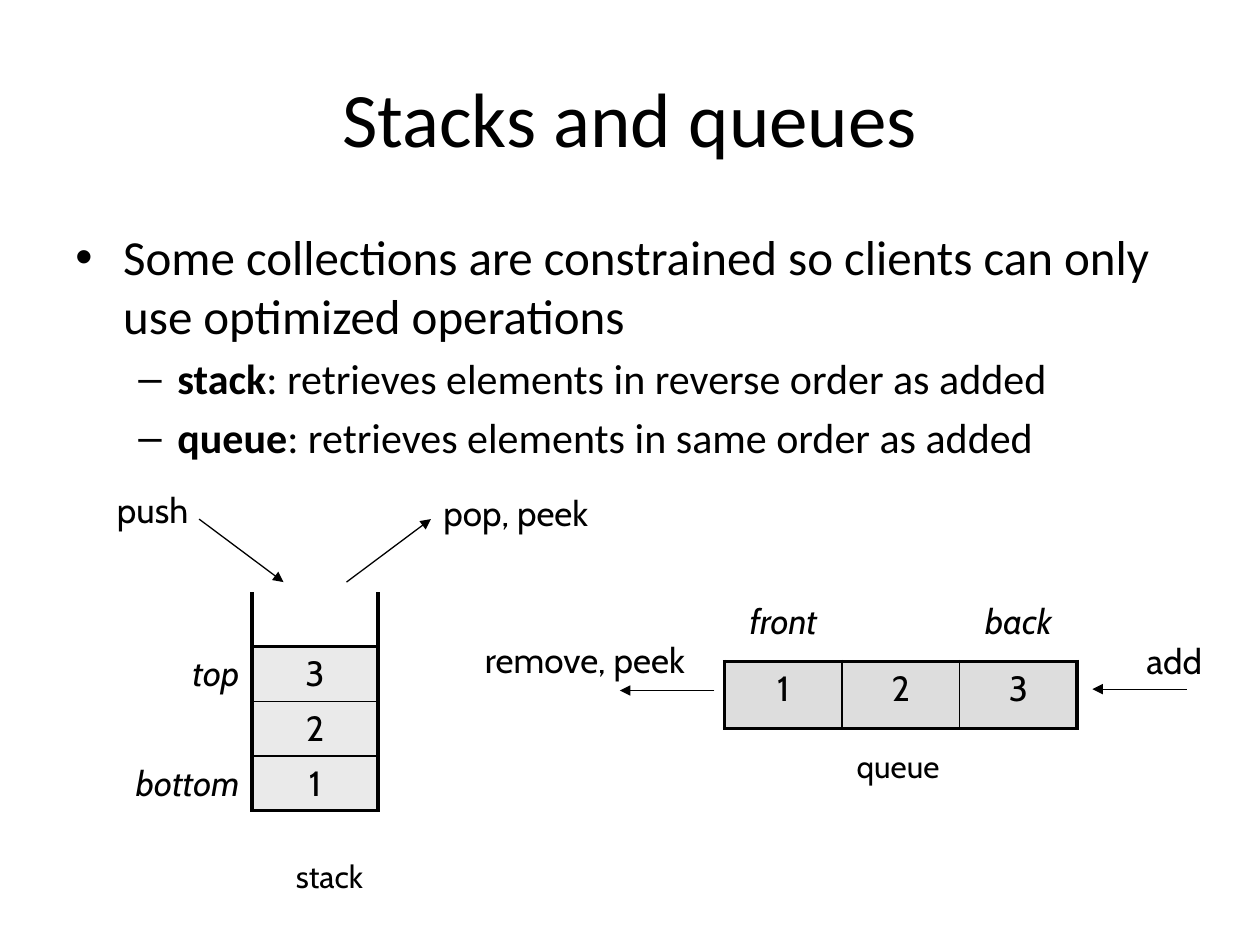
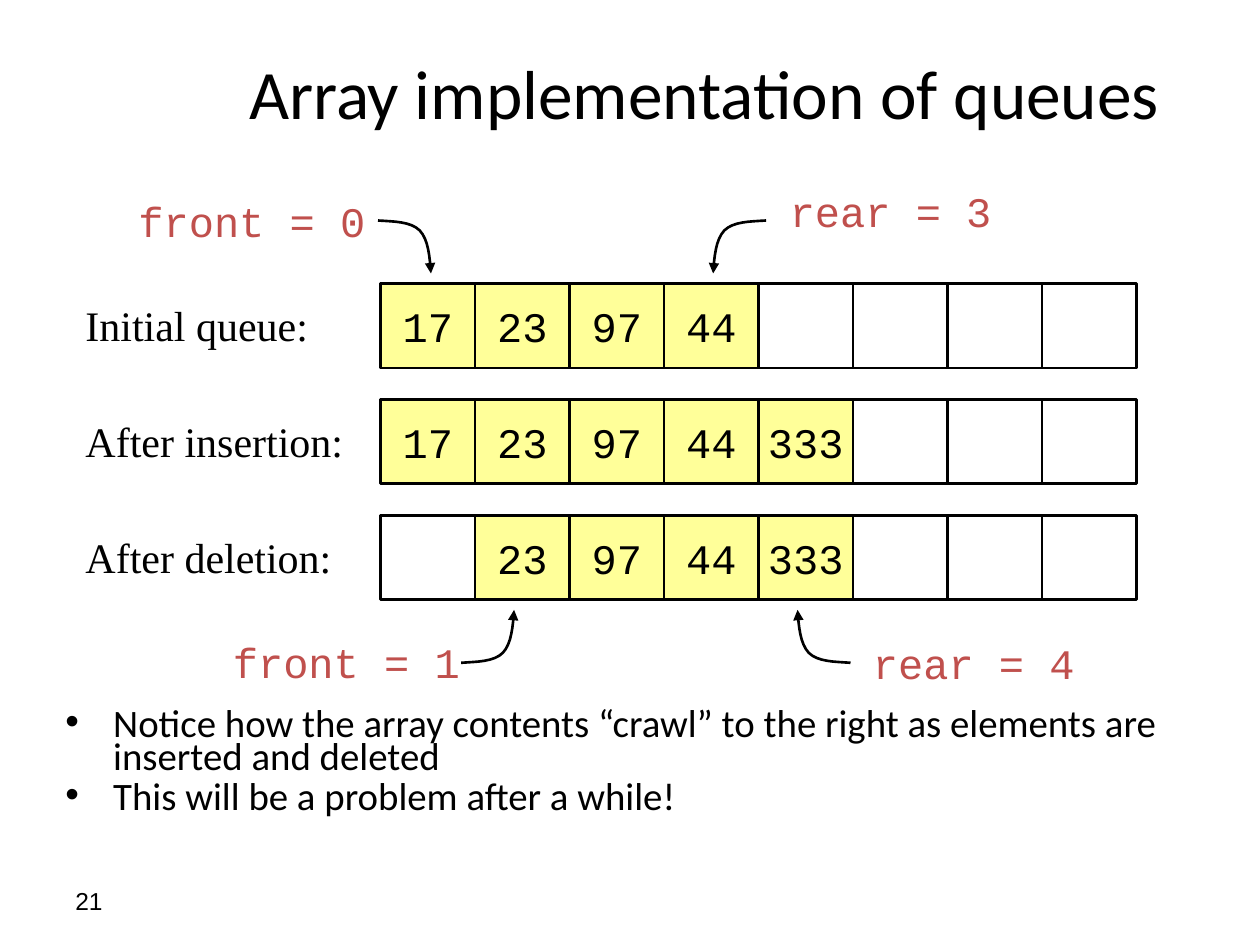
from lxml import etree
from pptx import Presentation
from pptx.dml.color import RGBColor
from pptx.enum.shapes import MSO_CONNECTOR, MSO_SHAPE
from pptx.enum.text import MSO_ANCHOR, MSO_AUTO_SIZE, PP_ALIGN
from pptx.oxml.ns import qn
from pptx.util import Inches, Pt

LEFT, CENTER, RIGHT = PP_ALIGN.LEFT, PP_ALIGN.CENTER, PP_ALIGN.RIGHT
TOP, MIDDLE = MSO_ANCHOR.TOP, MSO_ANCHOR.MIDDLE
GROW = MSO_AUTO_SIZE.SHAPE_TO_FIT_TEXT
STRAIGHT, RECT = MSO_CONNECTOR.STRAIGHT, MSO_SHAPE.RECTANGLE

COLORS = {"ink": "000000", "marker": "C0504D", "stack": "EAEAEA",
          "queue": "DDDDDD", "used": "FFFF99"}
BODY, DIAGRAM, CODE, SERIF, NUMBER = (
    "Calibri", "Cabin", "Courier New", "Times New Roman", "Arial")
THICK, THIN = 2.25, 1

OVERVIEW_TITLE = "Stacks and queues"
OVERVIEW_POINTS = [
    (0, "", "Some collections are constrained so clients can only use optimized operations"),
    (1, "stack", ": retrieves elements in reverse order as added"),
    (1, "queue", ": retrieves elements in same order as added"),
]
LEVELS = [
    {"bullet": "•", "indent": (0.38, -0.38), "size": 28},
    {"bullet": "–", "indent": (0.81, -0.31), "size": 24},
]
DIAGRAM_LABELS = [
    ("stack", 18, (2.25, 6.75, 0.77, 0.4)),
    ("queue", 18, (6.7, 5.88, 0.88, 0.4)),
    ("pop, peek", 20, (3.42, 3.85, 1.41, 0.43)),
    ("push", 20, (0.83, 3.83, 0.79, 0.43)),
    ("add", 20, (9, 5.03, 0.65, 0.43)),
    ("remove, peek", 20, (3.75, 5.02, 1.87, 0.43)),
]
ARROWS = [
    ((1.58, 4.12), (2.25, 4.62)),
    ((2.75, 4.62), (3.42, 4.12)),
    ((9.42, 5.47), (8.67, 5.47)),
    ((5.67, 5.48), (4.92, 5.48)),
]
STACK_ROWS = [("", ""), ("top", "3"), ("", "2"), ("bottom", "1")]
QUEUE_ROWS = [("front", "", "back"), ("1", "2", "3")]

ARRAY_TITLE = "Array implementation of queues"
ARRAY_POINTS = [
    "Notice how the array contents “crawl” to the right as elements are inserted and deleted",
    "This will be a problem after a while!",
]
ARRAY_STATES = [
    {"label": "Initial queue:",
     "values": ["17", "23", "97", "44", "", "", "", ""],
     "markers": [("rear = 3", (6.17, 1.42, 1.83, 0.5), (6.08, 1.75), (5.66, 2.17)),
                 ("front = 0", (1, 1.5, 2.08, 0.5), (3, 1.75), (3.42, 2.17))]},
    {"label": "After insertion:",
     "values": ["17", "23", "97", "44", "333", "", "", ""],
     "markers": []},
    {"label": "After deletion:",
     "values": ["", "23", "97", "44", "333", "", "", ""],
     "markers": [("rear = 4", (6.83, 5.01, 1.83, 0.5), (6.75, 5.26), (6.33, 4.84)),
                 ("front = 1", (1.75, 5, 2, 0.5), (3.66, 5.26), (4.08, 4.84))]},
]
PAGE = "21"
ARRAY_LEFT, ARRAY_TOP, ROW_PITCH = 3.02, 2.25, 0.92
CELL_WIDTH, CELL_HEIGHT = 0.75, 0.67
BEND = [((0, 0), (0.31, 0.02), (0.62, 0.02), (0.79, 0.19)),
        ((0.79, 0.19), (0.95, 0.36), (0.98, 0.69), (1, 1))]
BEND_STEPS = 8


def inches(values):
    return [Inches(value) for value in values]


def rgb(color):
    return RGBColor.from_string(COLORS[color])


def write(frame, text, size=20, font=BODY, color="ink", lead="", italic=False,
          align=LEFT, before=0, spacing=None, bullet=None, indent=(0, 0)):
    paragraph = frame.paragraphs[-1]
    if paragraph.runs:
        paragraph = frame.add_paragraph()
    paragraph.alignment = align
    paragraph.space_before = Pt(before * size)
    if spacing:
        paragraph.line_spacing = spacing
    if bullet:
        props = paragraph._p.get_or_add_pPr()
        margin, hanging = inches(indent)
        props.set("marL", str(margin))
        props.set("indent", str(hanging))
        etree.SubElement(props, qn("a:buFont"), typeface="Arial")
        etree.SubElement(props, qn("a:buChar"), char=bullet)
    for words, bold in ((lead, True), (text, False)):
        if words:
            run = paragraph.add_run()
            run.text = words
            run.font.size, run.font.name = Pt(size), font
            run.font.bold, run.font.italic = bold, italic
            run.font.color.rgb = rgb(color)


def text_frame(shapes, box, anchor=TOP, wrap=True, grow=False):
    frame = shapes.add_textbox(*inches(box)).text_frame
    frame.word_wrap, frame.vertical_anchor = wrap, anchor
    if grow:
        frame.auto_size = GROW
    return frame


def add_title(slide, text, box, size):
    write(text_frame(slide.shapes, box, anchor=MIDDLE), text, size=size, align=CENTER)


def ink_line(shape, width, arrow=False):
    shape.line.color.rgb = rgb("ink")
    shape.line.width = Pt(width)
    if arrow:
        etree.SubElement(shape.line._get_or_add_ln(), qn("a:tailEnd"), type="triangle")


def add_arrow(shapes, start, end):
    arrow = shapes.add_connector(STRAIGHT, *inches(start + end))
    ink_line(arrow, 0.75, arrow=True)
    etree.SubElement(arrow._element.spPr, qn("a:effectLst"))


def add_bent_arrow(shapes, start, end):
    points = [start]
    for curve in BEND:
        for step in range(1, BEND_STEPS + 1):
            t = step / BEND_STEPS
            weights = ((1 - t) ** 3, 3 * t * (1 - t) ** 2, 3 * t * t * (1 - t), t ** 3)
            points.append(tuple(
                start[axis] + (end[axis] - start[axis])
                * sum(w * point[axis] for w, point in zip(weights, curve))
                for axis in (0, 1)))
    points = [inches(point) for point in points]
    builder = shapes.build_freeform(*points[0])
    builder.add_line_segments(points[1:], close=False)
    bent = builder.convert_to_shape()
    bent.shadow.inherit = False
    bent.fill.background()
    ink_line(bent, 1.5, arrow=True)


def add_grid(slide, rows, box, style):
    left, top, width, height = inches(box)
    grid = slide.shapes.add_table(len(rows), len(rows[0]), left, top, width, height).table
    grid.first_row = grid.horz_banding = False
    for r, row in enumerate(rows):
        for c, text in enumerate(row):
            cell = grid.cell(r, c)
            align, italic, fill, borders = style(r, c)
            props = cell._tc.get_or_add_tcPr()
            for side in "LRTB":
                width = borders.get(side)
                edge = etree.SubElement(props, qn("a:ln" + side), w=str(Pt(width or 0)))
                if width:
                    paint = etree.SubElement(edge, qn("a:solidFill"))
                    etree.SubElement(paint, qn("a:srgbClr"), val=COLORS["ink"])
                else:
                    etree.SubElement(edge, qn("a:noFill"))
            if fill:
                cell.fill.solid()
                cell.fill.fore_color.rgb = rgb(fill)
            else:
                cell.fill.background()
            write(cell.text_frame, text, font=DIAGRAM, italic=italic, align=align, before=0.2)
    return grid


def stack_style(r, c):
    if c == 0:
        return RIGHT, True, None, {"R": THICK}
    borders = {"L": THICK, "R": THICK, "B": THICK if r in (0, 3) else THIN}
    if r:
        borders["T"] = THICK if r == 1 else THIN
    return CENTER, False, "stack" if r else None, borders


def queue_style(r, c):
    if r == 0:
        return CENTER, True, None, {"B": THICK}
    return CENTER, False, "queue", {"L": THIN if c else THICK, "R": THIN if c < 2 else THICK,
                                    "T": THICK, "B": THICK}


def build_overview(slide):
    add_title(slide, OVERVIEW_TITLE, (0.5, 0.3, 9, 1.25), 44)
    points = text_frame(slide.shapes, (0.5, 1.75, 9, 4.95))
    for level, lead, text in OVERVIEW_POINTS:
        write(points, text, lead=lead, before=0.2, **LEVELS[level])
    stack = add_grid(slide, STACK_ROWS, (0.67, 4.7, 2.33, 1.73), stack_style)
    stack.columns[0].width, stack.columns[1].width = inches((1.33, 1))
    add_grid(slide, QUEUE_ROWS, (5.75, 4.72, 2.8, 1.06), queue_style)
    for start, end in ARROWS:
        add_arrow(slide.shapes, start, end)
    for text, size, box in DIAGRAM_LABELS:
        write(text_frame(slide.shapes, box, wrap=False, grow=True), text, size=size, font=DIAGRAM)


def add_array_state(shapes, state, top):
    for index, value in enumerate(state["values"]):
        slot = shapes.add_shape(RECT, *inches(
            (ARRAY_LEFT + index * CELL_WIDTH, top, CELL_WIDTH, CELL_HEIGHT)))
        slot.shadow.inherit = False
        ink_line(slot, 1.5)
        if value:
            slot.fill.solid()
            slot.fill.fore_color.rgb = rgb("used")
            slot.text_frame.word_wrap = False
            slot.text_frame.vertical_anchor = MIDDLE
            write(slot.text_frame, value, size=24, font=CODE, align=CENTER)
        else:
            slot.fill.background()
    label = text_frame(shapes, (0.58, top + 0.08, 2.25, 0.5), grow=True)
    write(label, state["label"], size=24, font=SERIF)
    for text, box, start, end in state["markers"]:
        write(text_frame(shapes, box, grow=True), text, size=24, font=CODE, color="marker")
        add_bent_arrow(shapes, start, end)


def build_array(slide):
    write(text_frame(slide.shapes, (0.5, 6.95, 2.33, 0.4), anchor=MIDDLE),
          PAGE, size=14, font=NUMBER)
    add_title(slide, ARRAY_TITLE, (1.33, 0.33, 8.52, 0.8), 39.6)
    points = text_frame(slide.shapes, (0.42, 5.6, 9.38, 1.04))
    for text in ARRAY_POINTS:
        write(points, text, before=0.2, spacing=0.7, **{**LEVELS[0], "size": 22.2})
    for row, state in enumerate(ARRAY_STATES):
        group = slide.shapes.add_group_shape()
        add_array_state(group.shapes, state, ARRAY_TOP + row * ROW_PITCH)


deck = Presentation()
deck.slide_width, deck.slide_height = Inches(10), Inches(7.5)
for build in (build_overview, build_array):
    build(deck.slides.add_slide(deck.slide_layouts[6]))
deck.save("out.pptx")
